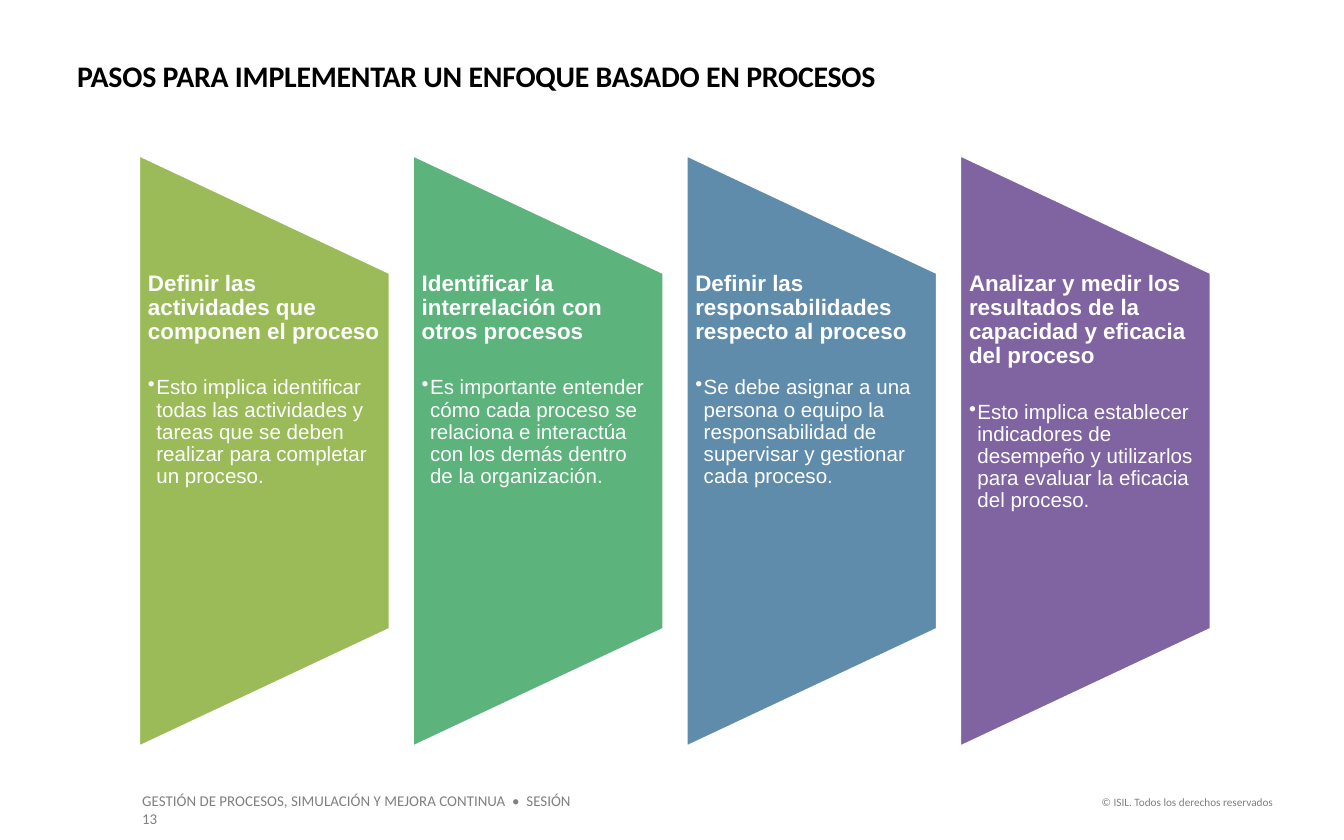
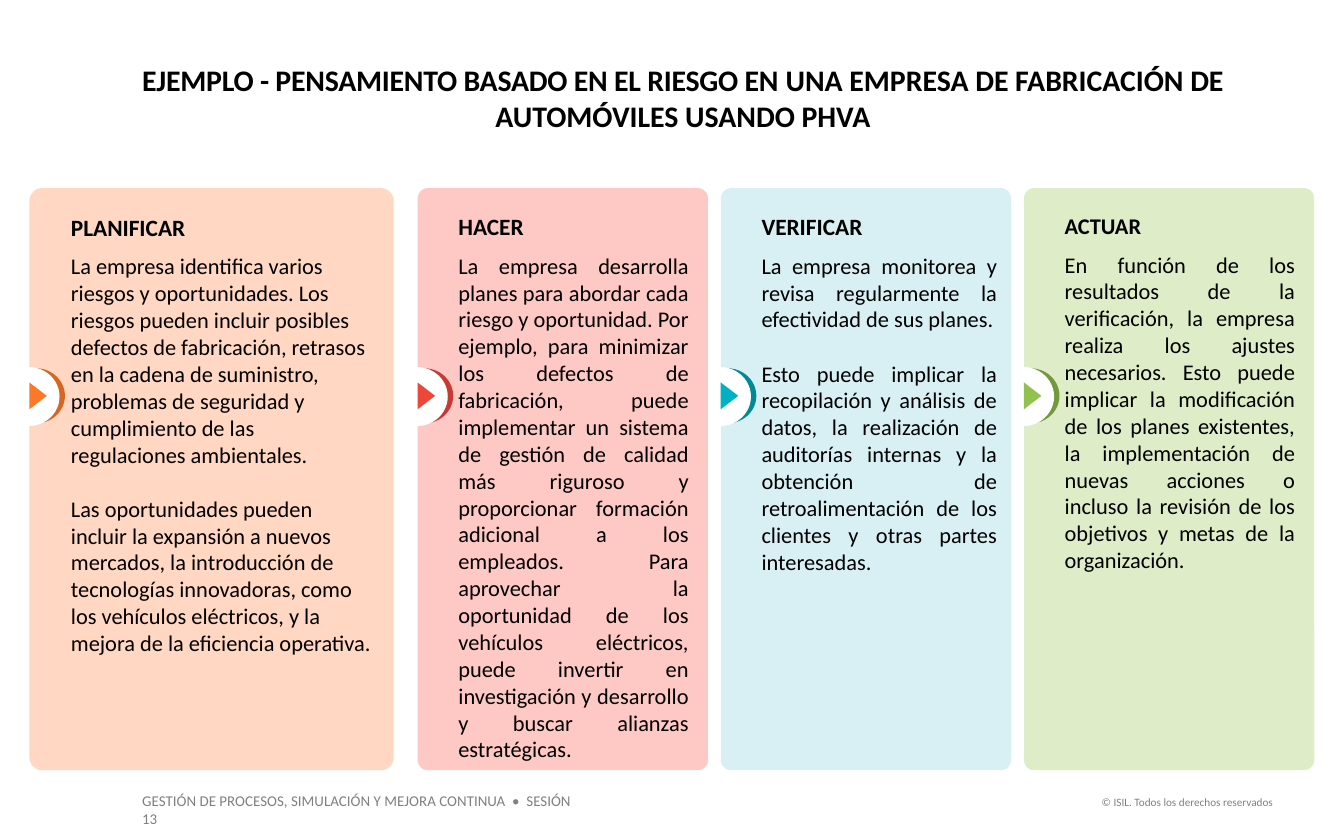
from lxml import etree
from pptx import Presentation
from pptx.dml.color import RGBColor
from pptx.enum import shapes as sh, text as tx
from pptx.oxml.ns import qn
from pptx.util import Pt

WHITE, BLACK, GREY = "FFFFFF", "000000", "808080"
LEFT, MID, RIGHT, JUST = (tx.PP_ALIGN.LEFT, tx.PP_ALIGN.CENTER,
                          tx.PP_ALIGN.RIGHT, tx.PP_ALIGN.JUSTIFY)
KIND = sh.MSO_SHAPE
COURSE = "GESTIÓN DE PROCESOS, SIMULACIÓN Y MEJORA CONTINUA  •  SESIÓN 13"
RIGHTS = "© ISIL. Todos los derechos reservados"

STEPS = [
    ("9BBB59", "Definir las actividades que componen el proceso",
     "Esto implica identificar todas las actividades y tareas que se deben "
     "realizar para completar un proceso."),
    ("5CB37C", "Identificar la interrelación con otros procesos",
     "Es importante entender cómo cada proceso se relaciona e interactúa con "
     "los demás dentro de la organización."),
    ("608CAB", "Definir las responsabilidades respecto al proceso",
     "Se debe asignar a una persona o equipo la responsabilidad de supervisar "
     "y gestionar cada proceso."),
    ("8064A2", "Analizar y medir los resultados de la capacidad y eficacia del proceso",
     "Esto implica establecer indicadores de desempeño y utilizarlos para "
     "evaluar la eficacia del proceso."),
]

CARDS = [
    dict(head="PLANIFICAR", size=12.5, align=LEFT, pad=8.6,
         tints=("FFD7C2", "D86522", "FF7828"),
         body=["La empresa identifica varios riesgos y oportunidades. Los riesgos "
               "pueden incluir posibles defectos de fabricación, retrasos en la "
               "cadena de suministro, problemas de seguridad y cumplimiento de "
               "las regulaciones ambientales.",
               "Las oportunidades pueden incluir la expansión a nuevos mercados, "
               "la introducción de tecnologías innovadoras, como los vehículos "
               "eléctricos, y la mejora de la eficiencia operativa."]),
    dict(head="HACER", size=12.5, align=JUST, pad=8.6,
         tints=("FEC9C5", "C73931", "EE4639"),
         body=["La empresa desarrolla planes para abordar cada riesgo y "
               "oportunidad. Por ejemplo, para minimizar los defectos de "
               "fabricación, puede implementar un sistema de gestión de calidad "
               "más riguroso y proporcionar formación adicional a los empleados. "
               "Para aprovechar la oportunidad de los vehículos eléctricos, puede "
               "invertir en investigación y desarrollo y buscar alianzas "
               "estratégicas."]),
    dict(head="VERIFICAR", size=12.5, align=JUST, pad=5.8,
         tints=("D8F0F3", "008998", "00B1C3"),
         body=["La empresa monitorea y revisa regularmente la efectividad de sus "
               "planes.",
               "Esto puede implicar la recopilación y análisis de datos, la "
               "realización de auditorías internas y la obtención de "
               "retroalimentación de los clientes y otras partes interesadas."]),
    dict(head="ACTUAR", size=12, align=JUST, pad=8.6,
         tints=("DEEDC8", "72993E", "92C14D"),
         body=["En función de los resultados de la verificación, la empresa "
               "realiza los ajustes necesarios. Esto puede implicar la "
               "modificación de los planes existentes, la implementación de "
               "nuevas acciones o incluso la revisión de los objetivos y metas "
               "de la organización."]),
]


def paint(part, tint):
    """Give a fill or a font a solid hex colour."""
    if hasattr(part, "solid"):
        part.solid()
        part.fore_color.rgb = RGBColor.from_string(tint)
    else:
        part.color.rgb = RGBColor.from_string(tint)


def frame(shape, pads=(7.2, 3.6, 7.2, 3.6), wrap=True):
    """Set insets, wrap and top anchor; return the text frame."""
    box = shape.text_frame
    box.auto_size = tx.MSO_AUTO_SIZE.NONE
    box.word_wrap = wrap
    box.vertical_anchor = tx.MSO_ANCHOR.TOP
    (box.margin_left, box.margin_top,
     box.margin_right, box.margin_bottom) = map(Pt, pads)
    return box


def write(para, words, size, tint, bold=False, face="Calibri"):
    """Add one run to a paragraph."""
    run = para.add_run()
    run.text = words
    run.font.name, run.font.size, run.font.bold = face, Pt(size), bold
    paint(run.font, tint)
    return run


def label(slide, box, pads=(7.2, 3.6, 7.2, 3.6), wrap=True):
    """Add a text box and return its text frame."""
    return frame(slide.shapes.add_textbox(*map(Pt, box)), pads, wrap)


def form(slide, kind, box, tint):
    """Add a filled shape with no line and no shadow."""
    shape = slide.shapes.add_shape(kind, *map(Pt, box))
    shape.shadow.inherit = False
    paint(shape.fill, tint)
    shape.line.fill.background()
    return shape


def start(deck, box, parts, align):
    """Add a slide with its title and footers."""
    slide = deck.slides.add_slide(deck.slide_layouts[5])
    title = slide.shapes.title
    title.left, title.top, title.width, title.height = map(Pt, box)
    para = frame(title, (1, 0, 0, 0)).paragraphs[0]
    para.alignment = align
    for words, gap in parts:
        run = write(para, words, 16, BLACK, True)
        run.font._element.set("spc", str(gap))
    course = label(slide, (69.1, 420.5, 254.2, 17.3))
    write(course.paragraphs[0], COURSE, 8, GREY)
    rights = label(slide, (581, 422.6, 108, 14.4), wrap=False)
    rights.paragraphs[0].alignment = RIGHT
    write(rights.paragraphs[0], RIGHTS, 6, GREY)
    return slide


def panel(slide, box, tint, head, note):
    """Draw one slanted panel with a heading and a bullet."""
    left, top, wide, high = box
    turned = (left + (wide - high) / 2, top + (high - wide) / 2, high, wide)
    shape = form(slide, KIND.FLOWCHART_MANUAL_OPERATION, turned, tint)
    shape.rotation = 270
    paint(shape.line.fill, WHITE)
    shape.line.width = Pt(3)
    body = label(slide, (left, top + high / 5, wide, high * 0.6), (5.7, 0, 5.7, 0))
    para = body.paragraphs[0]
    para.line_spacing, para.space_after = 0.9, Pt(17.5)
    write(para, head, 12, WHITE, True, "Arial")
    para = body.add_paragraph()
    para.line_spacing = 0.9
    props = para._p.get_or_add_pPr()
    props.set("marL", str(Pt(4.5)))
    props.set("indent", str(-Pt(4.5)))
    etree.SubElement(props, qn("a:buChar")).set("char", "•")
    write(para, note, 11, WHITE, face="Arial")


def badge(slide, left, top, dark, light):
    """Draw a white disc with a dark rim and an arrow tip."""
    form(slide, KIND.OVAL, (left + 5, top + 0.7, 31, 29.5), dark)
    form(slide, KIND.OVAL, (left, top, 33.1, 31.7), WHITE)
    tip = form(slide, KIND.ISOSCELES_TRIANGLE, (left + 14.4, top + 10.8, 14.4, 9.4), light)
    tip.rotation = 90


def card(slide, box, head, size, align, pad, tints, body):
    """Draw one rounded card with its text and badge."""
    left, top, wide, high = box
    back, dark, light = tints
    shape = form(slide, KIND.ROUNDED_RECTANGLE, box, back)
    shape.adjustments[0] = 0.035
    text = frame(shape, (20.2, 11.5, pad, 3.6))
    para = text.paragraphs[0]
    para.alignment, para.space_after = LEFT, Pt(6)
    write(para, head, size, BLACK, True)
    for rank, words in enumerate(body):
        para = text.add_paragraph()
        para.alignment = align
        if rank:
            para.space_before = Pt(14.6)
        write(para, words, 12, BLACK)
    badge(slide, left - 17, top + 95.8, dark, light)


def steps(deck):
    """Build the slide of four steps."""
    slide = start(deck, (40.3, 31, 643, 19.4),
                  [("PASOS PARA IMPLEMENTAR UN ENFOQUE BASADO EN PROCESOS", -10)], LEFT)
    for rank, step in enumerate(STEPS):
        panel(slide, (73.6 + 146.6 * rank, 81.7, 136.1, 319.7), *step)


def cycle(deck):
    """Build the slide of the four-part cycle."""
    slide = start(deck, (43.9, 33.1, 643, 38.9),
                  [("EJEMPLO - PENSAMIENTO BASADO EN EL RIESGO EN ", -10),
                   ("UNA EMPRESA DE FABRICACIÓN DE AUTOMÓVILES USANDO PHVA", 0)], MID)
    spans = [(15.8, 195.1)] + [(223.8 + 162.4 * rank, 155.5) for rank in range(3)]
    for (left, wide), item in reversed(list(zip(spans, CARDS))):
        card(slide, (left, 100.8, wide, 311.8), **item)


def main():
    """Build and save the deck."""
    deck = Presentation()
    deck.slide_width, deck.slide_height = Pt(720), Pt(450)
    steps(deck)
    cycle(deck)
    deck.save("out.pptx")


if __name__ == "__main__":
    main()
